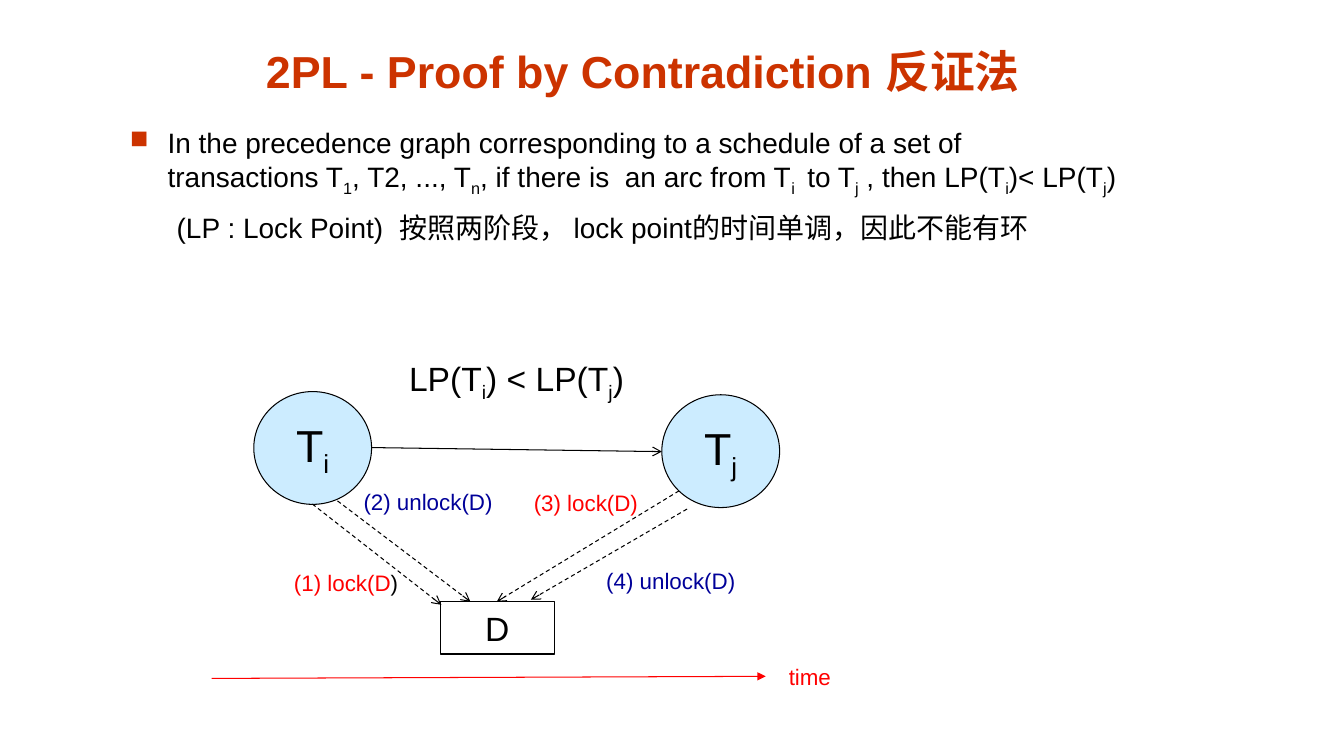
from lxml import etree
from pptx import Presentation
from pptx import util as u
from pptx.dml.color import RGBColor
from pptx.enum import dml, shapes, text
from pptx.oxml.ns import qn

Pt = u.Pt
RED, NAVY, BLACK, RUST = "FF0000", "000099", "000000", "CC3300"


def rgb(value):
    return RGBColor.from_string(value)


def write(p, content, size=16, color=BLACK, bold=False, align=None):
    """Append text to a paragraph; parts in {braces} become subscripts."""
    if align is not None:
        p.alignment = align
    for i, part in enumerate(content.replace("}", "{").split("{")):
        if not part:
            continue
        r = p.add_run()
        r.text = part
        r.font.name, r.font.size, r.font.bold = "Arial", Pt(size), bold
        r.font.color.rgb = rgb(color)
        if i % 2:
            r._r.get_or_add_rPr().set("baseline", "-25000")


prs = Presentation()
prs.slide_width, prs.slide_height = Pt(960.5), Pt(540)
sp = prs.slides.add_slide(prs.slide_layouts[6]).shapes
CENTER = text.PP_ALIGN.CENTER

# Title
tf = sp.add_textbox(Pt(175), Pt(25.2), Pt(568.8), Pt(48.2)).text_frame
tf.word_wrap = True
tf.vertical_anchor = text.MSO_ANCHOR.BOTTOM
write(tf.paragraphs[0], "2PL - Proof by Contradiction 反证法", size=32, color=RUST,
      bold=True, align=CENTER)

# Statement: one bullet and its continuation
tf = sp.add_textbox(Pt(85.7), Pt(86.4), Pt(722.2), Pt(150.5)).text_frame
tf.word_wrap = True
p = tf.paragraphs[0]
pPr = p._p.get_or_add_pPr()
pPr.set("marL", str(Pt(27)))
pPr.set("indent", str(-Pt(27)))
color = etree.SubElement(pPr, qn("a:buClr"))
etree.SubElement(color, qn("a:srgbClr"), val=RUST)
etree.SubElement(pPr, qn("a:buSzPct"), val="90000")
etree.SubElement(pPr, qn("a:buChar"), char="■")
write(p, "In the precedence graph corresponding to a schedule of a set of transactions "
         "T{1}, T2, ..., T{n}, if there is  an arc from T{i } to T{j} , "
         "then LP(T{i})< LP(T{j})", size=20)
p = tf.add_paragraph()
p._p.get_or_add_pPr().set("marL", str(Pt(33.5)))
p.space_before = Pt(8.8)
write(p, "(LP : Lock Point)  按照两阶段， lock point的时间单调，因此不能有环", size=20)

# Transactions and data item
OVAL, RECT = shapes.MSO_SHAPE.OVAL, shapes.MSO_SHAPE.RECTANGLE
for kind, x, y, w, h, fill, name, size in [
    (OVAL, 181.4, 279.7, 84.2, 80.6, "CCECFF", "T{i}", 32),
    (OVAL, 473, 282, 84.2, 80.6, "CCECFF", "T{j}", 32),
    (RECT, 314.6, 429.8, 81.4, 37.4, "FFFFFF", "D", 24),
]:
    node = sp.add_shape(kind, Pt(x), Pt(y), Pt(w), Pt(h))
    node.shadow.inherit = False
    node.fill.solid()
    node.fill.fore_color.rgb = rgb(fill)
    node.line.color.rgb = rgb(BLACK)
    node.line.width = Pt(0.75)
    node.text_frame.word_wrap = False
    node.text_frame.vertical_anchor = text.MSO_ANCHOR.MIDDLE
    write(node.text_frame.paragraphs[0], name, size=size, align=CENTER)

# Arrows: precedence arc, lock and unlock requests, time axis
for x1, y1, x2, y2, color, dashed, head in [
    (265.3, 319.7, 473, 322.6, BLACK, False, "arrow"),
    (223.2, 360, 315.4, 432, BLACK, True, "arrow"),
    (241.2, 357.8, 336.2, 429.8, BLACK, True, "arrow"),
    (485.3, 350.6, 355, 429.8, BLACK, True, "arrow"),
    (491, 363.6, 379.4, 428.4, BLACK, True, "arrow"),
    (151.2, 484.6, 547.2, 483.1, RED, False, "triangle"),
]:
    arrow = sp.add_connector(shapes.MSO_CONNECTOR.STRAIGHT, Pt(x1), Pt(y1), Pt(x2), Pt(y2))
    arrow.line.color.rgb = rgb(color)
    arrow.line.width = Pt(0.75)
    if dashed:
        arrow.line.dash_style = dml.MSO_LINE.DASH
    etree.SubElement(arrow.line._get_or_add_ln(), qn("a:tailEnd"), type=head)
    etree.SubElement(arrow._element.spPr, qn("a:effectLst"))

# Labels, each made of coloured pieces
for x, y, w, h, size, pieces in [
    (285.3, 252, 173.3, 40.3, 24, [("LP(T{i}) < LP(T{j})", BLACK)]),
    (203, 403.2, 90, 26.6, 16, [("(1) lock(D", RED), (")", BLACK)]),
    (252.7, 344.9, 116.6, 26.6, 16, [("(2) unlock(D)", NAVY)]),
    (374.4, 345.6, 105.8, 26.6, 16, [("(3) lock(D)", RED)]),
    (426.2, 401.8, 115.2, 26.6, 16, [("(4) unlock(D)", NAVY)]),
    (556.6, 470.2, 101.5, 26.6, 16, [("time", RED)]),
]:
    tf = sp.add_textbox(Pt(x), Pt(y), Pt(w), Pt(h)).text_frame
    tf.word_wrap = True
    for content, color in pieces:
        write(tf.paragraphs[0], content, size=size, color=color)

prs.save("out.pptx")
